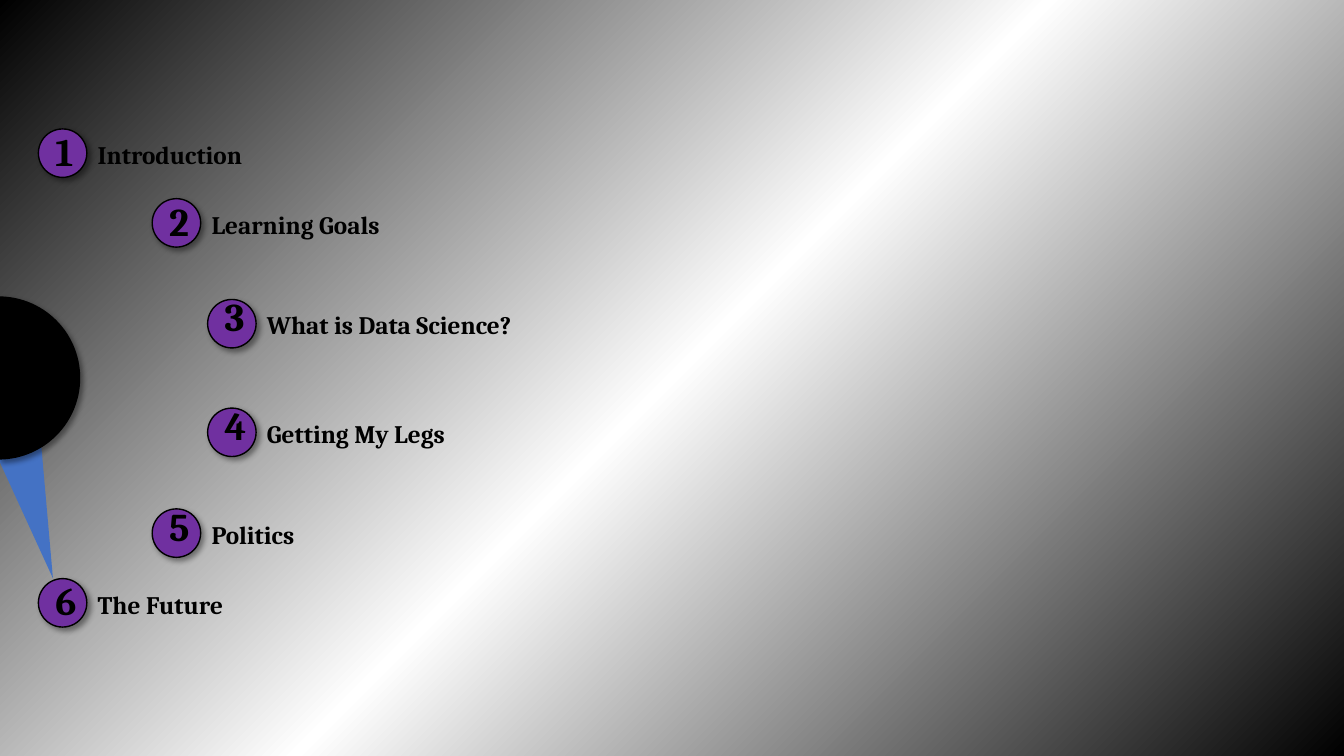
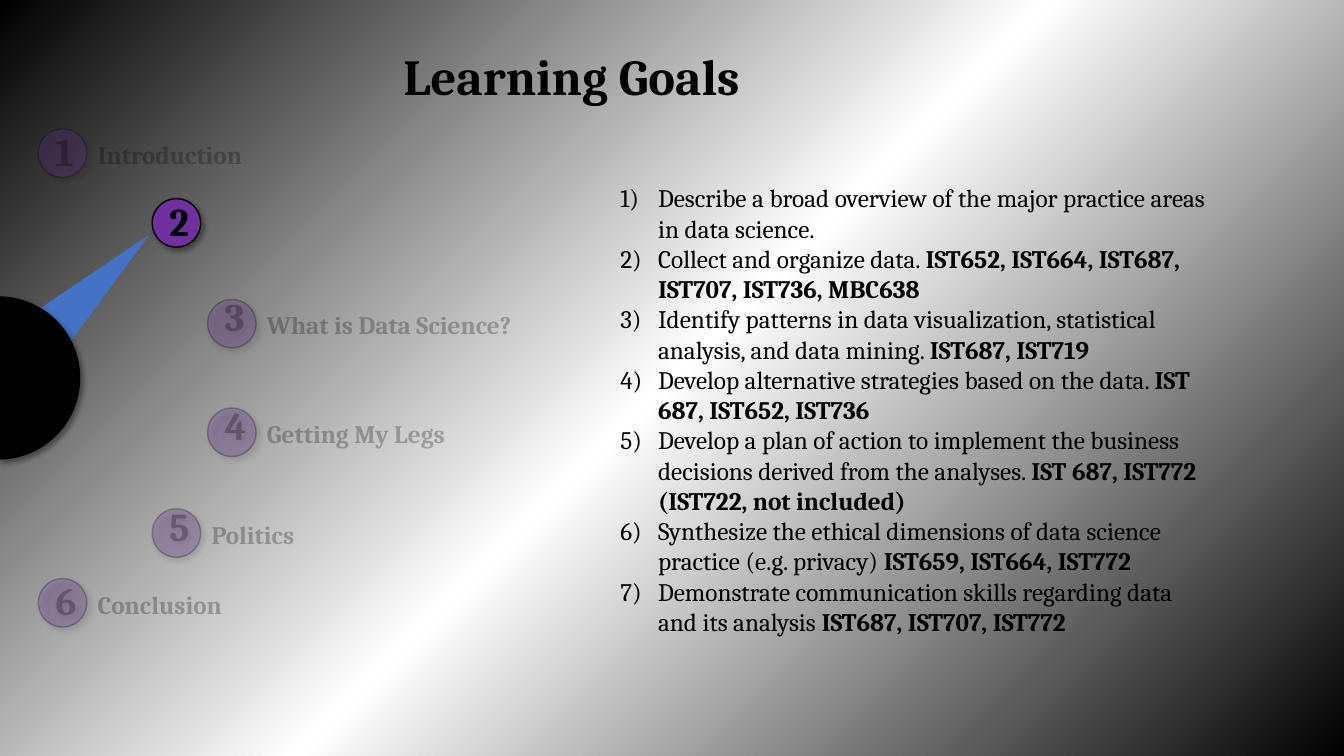
from copy import deepcopy
from math import cos, pi, radians, sin

from lxml import etree
from pptx import Presentation
from pptx.dml.color import RGBColor
from pptx.enum import shapes, text
from pptx.oxml.ns import qn
from pptx.util import Pt

INK = {"black": "000000", "white": "FFFFFF", "blue": "4472C4", "plum": "7030A0"}
FACE = "Cambria"
HUB = (0, 270)
DOT = 34.6
STEPS = [(27.4, 160.6), (108.7, 110.8), (148.3, 38.8)]
SPOTS = [(x, HUB[1] - y) for x, y in STEPS]
SPOTS += [(x, HUB[1] + y) for x, y in reversed(STEPS)]
FEET = [7.2, 7.2, 14.4, 14.4, 14.4, 7.2]
TOPICS = ["Introduction", "Learning Goals", "What is Data Science?",
          "Getting My Legs", "Politics"]
GOALS = [
    ("Describe a broad overview of the major practice areas in data science.", ""),
    ("Collect and organize data. ",
     "IST652, IST664, IST687, IST707, IST736, MBC638"),
    ("Identify patterns in data visualization, statistical analysis, "
     "and data mining. ", "IST687, IST719"),
    ("Develop alternative strategies based on the data. ",
     "IST 687, IST652, IST736"),
    ("Develop a plan of action to implement the business decisions derived "
     "from the analyses. ", "IST 687, IST772 (IST722, not included)"),
    ("Synthesize the ethical dimensions of data science practice "
     "(e.g. privacy) ", "IST659, IST664, IST772"),
    ("Demonstrate communication skills regarding data and its analysis ",
     "IST687, IST707, IST772"),
]
LABEL = {"size": Pt(18), "bold": True}
DIGIT = {"size": Pt(28), "bold": True}
TITLE = {"size": Pt(36), "bold": True}
PLAIN = {"size": Pt(18), "bold": False}


def tint(name):
    return RGBColor.from_string(INK[name])


def style(item, look):
    for key, value in look.items():
        setattr(item, key, value)


def write(para, words, look):
    run = para.add_run()
    run.text = words
    style(run.font, {"name": FACE, **look})
    run.font.color.rgb = tint("black")


def box(slide, left, top, wide, high):
    frame = slide.shapes.add_textbox(
        Pt(left), Pt(top), Pt(wide), Pt(high)).text_frame
    style(frame, {"word_wrap": True,
                  "auto_size": text.MSO_AUTO_SIZE.SHAPE_TO_FIT_TEXT})
    return frame


def paint(shape, name):
    shape.shadow.inherit = False
    shape.fill.solid()
    shape.fill.fore_color.rgb = tint(name)
    shape.line.fill.background()


def shade(shape):
    cast = etree.SubElement(
        shape._element.spPr.find(qn("a:effectLst")), qn("a:outerShdw"),
        blurRad=str(Pt(4)), dist=str(Pt(3)), dir="2700000",
        algn="tl", rotWithShape="0")
    color = etree.SubElement(cast, qn("a:srgbClr"), val=INK["black"])
    etree.SubElement(color, qn("a:alpha"), val="40000")


def fade(shape):
    for fill in shape._element.iter(qn("a:solidFill")):
        etree.SubElement(fill[0], qn("a:alpha"), val="25000")


def backdrop(deck):
    fill = deck.slide_master.background.fill
    fill.gradient()
    fill.gradient_angle = 315
    stops = deck.slide_master._element.find(".//" + qn("p:bg")).find(
        ".//" + qn("a:gsLst"))
    stops.append(deepcopy(stops[-1]))
    for stop, spot, name in zip(fill.gradient_stops, (0, 0.5, 1),
                                ("black", "white", "black")):
        stop.position = spot
        stop.color.rgb = tint(name)


def pointer(slide, angle):
    wide, high = 51, 148
    turn = radians(angle)
    mid_x = HUB[0] + high / 2 * sin(turn)
    mid_y = HUB[1] - high / 2 * cos(turn)
    hand = slide.shapes.add_shape(
        shapes.MSO_SHAPE.ISOSCELES_TRIANGLE, Pt(mid_x - wide / 2),
        Pt(mid_y - high / 2), Pt(wide), Pt(high))
    hand.rotation = angle
    paint(hand, "blue")


def hub(slide):
    size, count = 58.3, 60
    arc = [(Pt(HUB[0] - 1 + size * sin(pi * n / count)),
            Pt(HUB[1] - size * cos(pi * n / count))) for n in range(count + 1)]
    pen = slide.shapes.build_freeform(*arc[0])
    pen.add_line_segments(arc[1:], close=True)
    half = pen.convert_to_shape()
    paint(half, "black")
    shade(half)


def marker(slide, num, spot, foot, dim):
    left, mid = spot
    dot = slide.shapes.add_shape(
        shapes.MSO_SHAPE.OVAL, Pt(left), Pt(mid - DOT / 2), Pt(DOT), Pt(DOT))
    paint(dot, "plum")
    dot.line.color.rgb = tint("black")
    dot.line.width = Pt(1)
    shade(dot)
    frame = dot.text_frame
    style(frame, {"margin_left": Pt(7.2), "margin_right": Pt(7.2),
                  "margin_top": Pt(3.6), "margin_bottom": Pt(foot),
                  "vertical_anchor": text.MSO_ANCHOR.MIDDLE})
    para = frame.paragraphs[0]
    para.alignment = text.PP_ALIGN.CENTER
    write(para, str(num), DIGIT)
    if dim:
        fade(dot)


def label(slide, words, spot, dim):
    left, mid = spot
    frame = box(slide, left + 35.3, mid - 13.5, 220, 29)
    write(frame.paragraphs[0], words, LABEL)
    if dim:
        fade(frame._parent)


def menu(slide, topics, angle, live=None):
    pointer(slide, angle)
    hub(slide)
    for num, (words, spot, foot) in enumerate(zip(topics, SPOTS, FEET), 1):
        dim = live is not None and num != live
        marker(slide, num, spot, foot, dim)
        if num != live:
            label(slide, words, spot, dim)


def title(slide, words):
    write(box(slide, 281, 29, 311, 51).paragraphs[0], words, TITLE)


def goals(slide):
    frame = box(slide, 436, 127, 436, 334)
    for row, (words, codes) in enumerate(GOALS):
        para = frame.add_paragraph() if row else frame.paragraphs[0]
        props = para._p.get_or_add_pPr()
        props.set("marL", str(Pt(27)))
        props.set("indent", str(Pt(-27)))
        etree.SubElement(props, qn("a:buFont"), typeface="+mj-lt")
        etree.SubElement(props, qn("a:buAutoNum"), type="arabicParenR")
        write(para, words, PLAIN)
        if codes:
            write(para, codes, LABEL)


def main():
    deck = Presentation()
    style(deck, {"slide_width": Pt(960), "slide_height": Pt(540)})
    backdrop(deck)
    blank = deck.slide_layouts[6]
    menu(deck.slides.add_slide(blank), TOPICS + ["The Future"], 165.2)
    slide = deck.slides.add_slide(blank)
    menu(slide, TOPICS + ["Conclusion"], 46.2, live=2)
    goals(slide)
    title(slide, TOPICS[1])
    deck.save("out.pptx")


if __name__ == "__main__":
    main()
